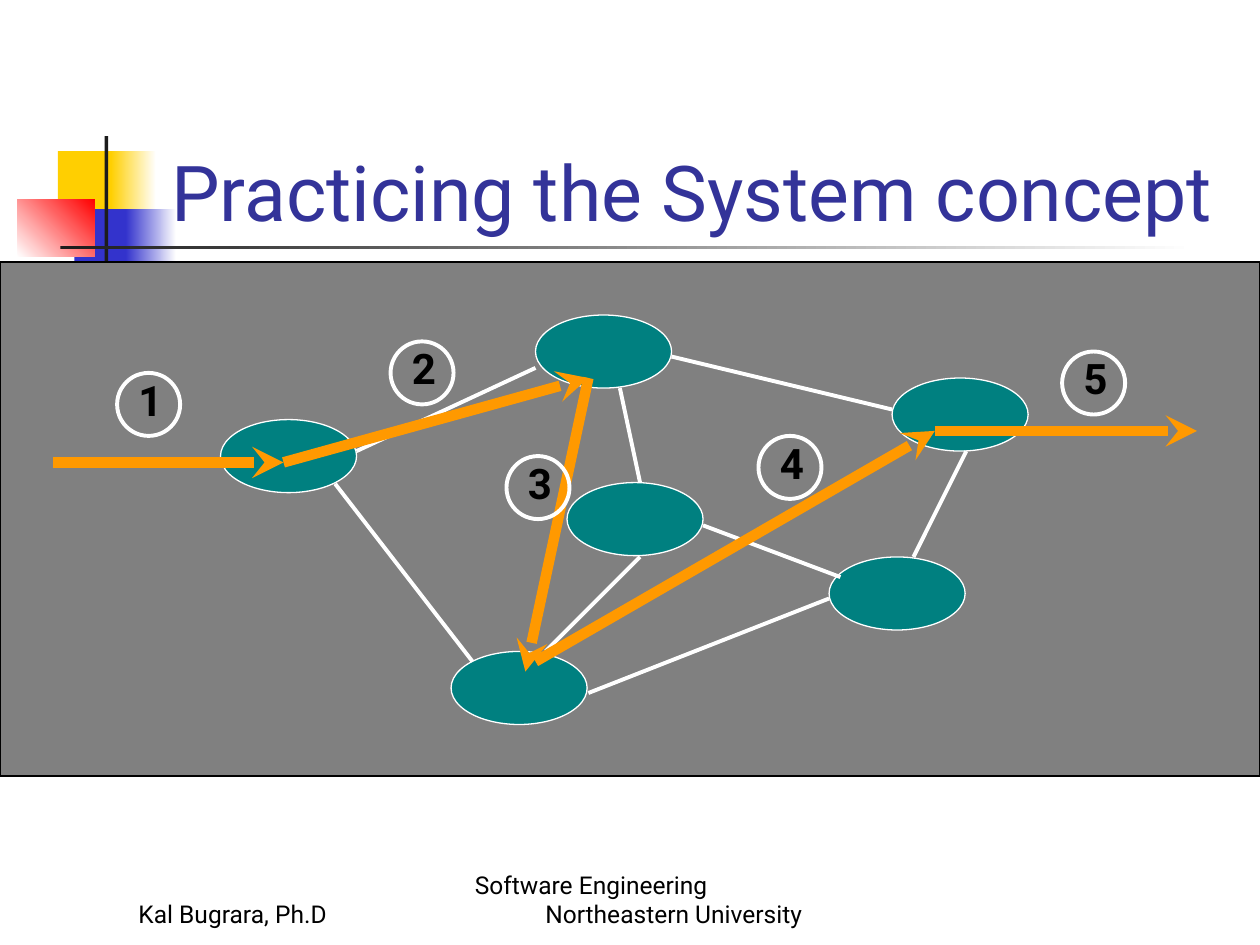
from pptx import Presentation
from pptx.dml.color import RGBColor
from pptx.enum import shapes, text
from pptx.oxml.ns import qn
from pptx.util import Inches, Pt
from lxml import etree

HUES = {
    "gold": "FFCF01", "blue": "3333CC", "red": "FF0000", "dark": "1C1C1C",
    "white": "FFFFFF", "black": "000000", "grey": "808080",
    "teal": "008080", "orange": "FF9900", "title": "333399",
}
TITLE = "Practicing the System concept"
AUTHOR = "Kal Bugrara, Ph.D"
COURSE = "Software Engineering\vNortheastern University"

# left, top, width, height, colours (two make a gradient), angle
DECOR = [
    (0.46, 1.2, 0.48, 0.52, ("gold",), 0),
    (0.88, 1.2, 0.36, 0.52, ("gold", "white"), 0),
    (0.59, 1.66, 0.46, 0.52, ("blue",), 0),
    (1, 1.66, 0.4, 0.52, ("blue", "white"), 0),
    (0.14, 1.58, 0.61, 0.46, ("white", "red"), 45),
    (0.83, 1.08, 0.03, 1.15, ("dark",), 0),
    (0.48, 1.95, 9, 0.03, ("dark", "white"), 0),
]
NODES = [(1.75, 3.33), (4.25, 2.5), (4.5, 3.83),
         (3.58, 5.17), (6.58, 4.42), (7.08, 3)]
EDGES = [
    ((2.66, 3.84), (3.75, 5.25)), ((2.83, 3.58), (4.25, 2.92)),
    ((4.92, 3.08), (5.08, 3.83)), ((5.08, 4.42), (4.33, 5.17)),
    ((7.67, 3.58), (7.25, 4.42)), ((4.67, 5.5), (6.58, 4.75)),
    ((5.58, 4.17), (6.67, 4.58)), ((5.33, 2.83), (7.08, 3.25)),
]
STEPS = [
    ((0.42, 3.67), (2.25, 3.67)), ((2.25, 3.67), (4.67, 3)),
    ((4.67, 3), (4.17, 5.33)), ((4.25, 5.25), (7.42, 3.42)),
    ((7.42, 3.42), (9.5, 3.42)),
]
BADGES = [(0.93, 2.96), (3.1, 2.71), (4.02, 3.62), (6.02, 3.46), (8.43, 2.79)]

deck = Presentation()
deck.slide_width, deck.slide_height = Inches(10), Inches(7.5)
slide = deck.slides.add_slide(deck.slide_layouts[6])
RECT, OVAL = shapes.MSO_SHAPE.RECTANGLE, shapes.MSO_SHAPE.OVAL


def rgb(name):
    return RGBColor.from_string(HUES[name])


def add_form(kind, box, fill=(), angle=0, line=None, weight=0.75):
    form = slide.shapes.add_shape(kind, *map(Inches, box))
    form.shadow.inherit = False
    if len(fill) == 2:
        form.fill.gradient()
        form.fill.gradient_angle = angle
        for stop, name, place in zip(form.fill.gradient_stops, fill, (0, 1)):
            stop.color.rgb, stop.position = rgb(name), place
    elif fill:
        form.fill.solid()
        form.fill.fore_color.rgb = rgb(fill[0])
    else:
        form.fill.background()
    if line:
        form.line.color.rgb, form.line.width = rgb(line), Pt(weight)
    else:
        form.line.fill.background()


def add_line(start, end, hue, weight, arrow=False):
    line = slide.shapes.add_connector(
        shapes.MSO_CONNECTOR.STRAIGHT, *map(Inches, start + end))
    line.line.color.rgb, line.line.width = rgb(hue), Pt(weight)
    if arrow:
        etree.SubElement(line.line._get_or_add_ln(), qn("a:tailEnd"),
                         type="stealth")
    etree.SubElement(line._element.spPr, qn("a:effectLst"))


def add_text(words, box, size=14, hue="black", bold=False, low=True, hang=0):
    """Add a text box; hang indents every line but the first, in inches."""
    frame = slide.shapes.add_textbox(*map(Inches, box)).text_frame
    frame.word_wrap = True
    frame.vertical_anchor = (text.MSO_ANCHOR.BOTTOM if low
                             else text.MSO_ANCHOR.TOP)
    para = frame.paragraphs[0]
    para.text = words
    if hang:
        props = para._p.get_or_add_pPr()
        props.set("marL", str(Inches(hang)))
        props.set("indent", str(-Inches(hang)))
    for run in para.runs:
        font = run.font
        font.name, font.size, font.bold = "Roboto", Pt(size), bold
        font.color.rgb = rgb(hue)


for *box, fill, angle in DECOR:
    add_form(RECT, box, fill, angle)
add_form(RECT, (0, 2.08, 10, 4.08), ("grey",), line="black")
add_text(AUTHOR, (1, 6.92, 2.08, 0.5))
add_text(COURSE, (3.67, 6.92, 3.17, 0.5), hang=0.56)

for node in NODES:
    add_form(OVAL, node + (1.08, 0.58), ("teal",), line="white")
for start, end in EDGES:
    add_line(start, end, "white", 2.25)
for start, end in STEPS:
    add_line(start, end, "orange", 6, arrow=True)

add_text(TITLE, (1.26, 0.68, 8.52, 1.25), size=44, hue="title")
for count, (left, top) in enumerate(BADGES, 1):
    add_form(OVAL, (left, top, 0.5, 0.5), line="white", weight=2.25)
    add_text(str(count), (left + 0.07, top - 0.04, 0.39, 0.5),
             size=24, bold=True, low=False)

deck.save("out.pptx")
